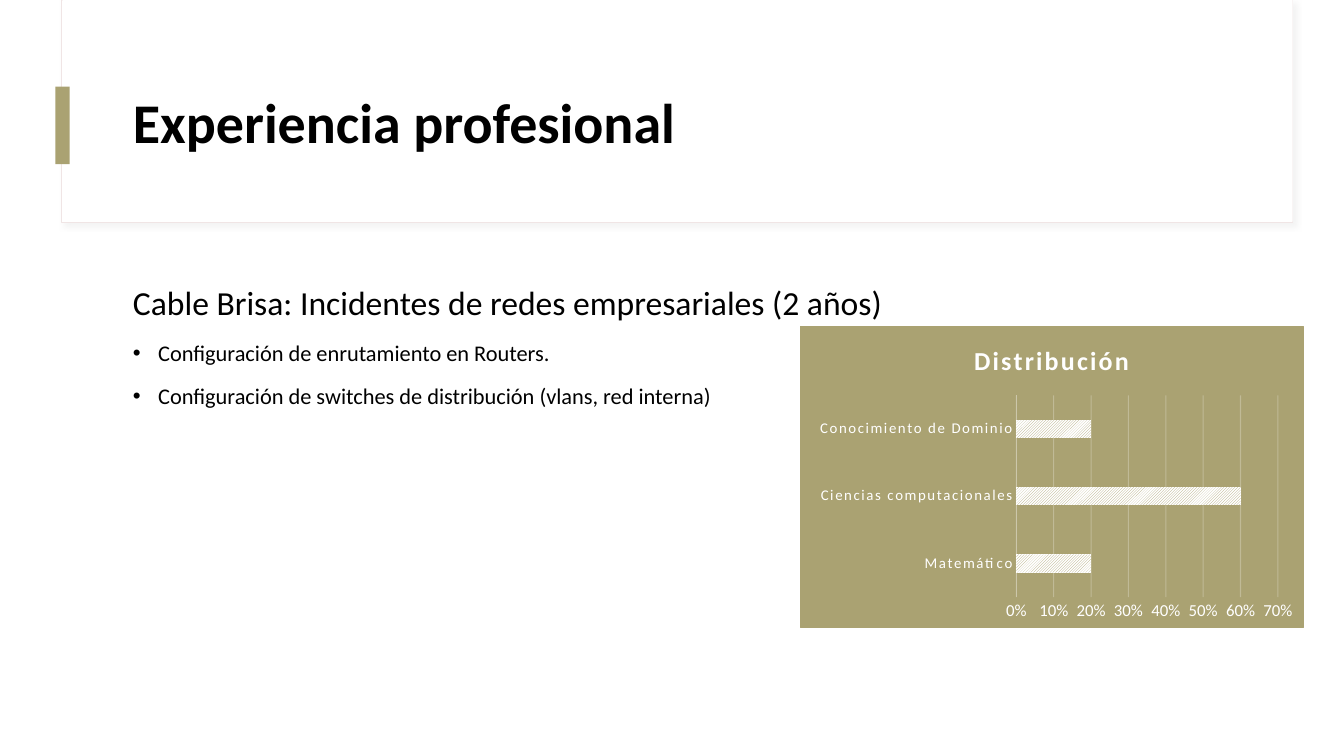
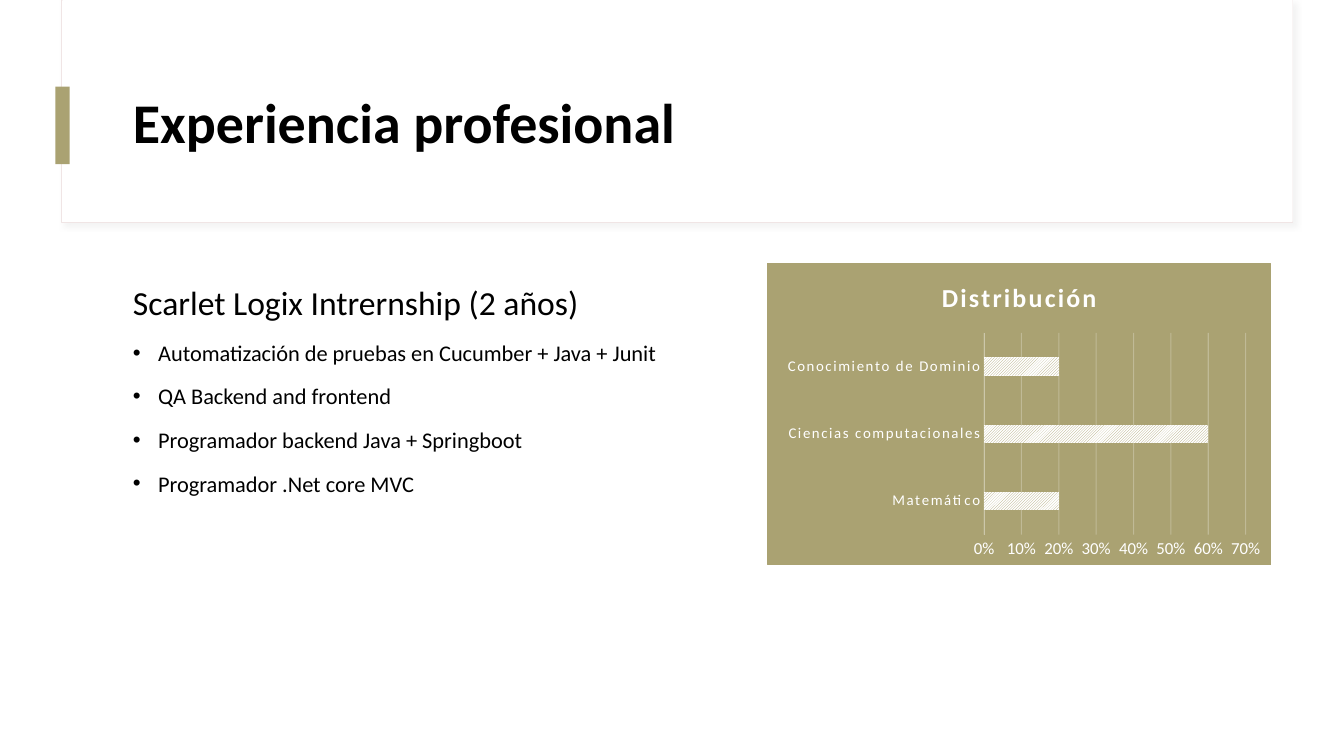
from lxml.etree import SubElement
from pptx import Presentation
from pptx.chart.data import CategoryChartData
from pptx.dml.color import RGBColor
from pptx.enum.chart import XL_CHART_TYPE, XL_TICK_MARK
from pptx.enum.dml import MSO_PATTERN
from pptx.enum.shapes import MSO_SHAPE
from pptx.enum.text import MSO_ANCHOR
from pptx.oxml import parse_xml
from pptx.oxml.ns import nsdecls, qn
from pptx.util import Inches, Pt

# Shared style
FONT = "Calibri"
BLACK = RGBColor(0x00, 0x00, 0x00)
WHITE = RGBColor(0xFF, 0xFF, 0xFF)
OLIVE = RGBColor(0xAA, 0xA2, 0x72)
SAND = RGBColor(0xCC, 0xC7, 0xAA)
ROSE = RGBColor(0xF0, 0xE5, 0xE5)
TITLE = "Experiencia profesional"

# Chart content
SHARES = {
    "Matemático": 0.2,
    "Ciencias computacionales": 0.6,
    "Conocimiento de Dominio": 0.2,
}

# Heading, bullets, left and top of the chart
JOBS = [
    (
        "Cable Brisa: Incidentes de redes empresariales (2 años)",
        [
            "Configuración de enrutamiento en Routers.",
            "Configuración de switches de distribución (vlans, red interna)",
        ],
        (7.93, 3.23),
    ),
    (
        "Scarlet Logix Intrernship (2 años)",
        [
            "Automatización de pruebas en Cucumber + Java + Junit",
            "QA Backend and frontend",
            "Programador backend Java + Springboot",
            "Programador .Net core MVC",
        ],
        (7.61, 2.61),
    ),
]


def style(font, size, color, bold=False):
    font.name = FONT
    font.size = Pt(size)
    font.color.rgb = color
    font.bold = bold


def add_rect(slide, box, fill, line=None):
    rect = slide.shapes.add_shape(MSO_SHAPE.RECTANGLE, *map(Inches, box))
    rect.shadow.inherit = False
    rect.fill.solid()
    rect.fill.fore_color.rgb = fill
    if line is None:
        rect.line.fill.background()
    else:
        rect.line.color.rgb = line
        rect.line.width = Pt(0.75)
    return rect


def add_shade(shape):
    effects = shape.element.spPr.find(qn("a:effectLst"))
    effects.append(parse_xml(
        f'<a:outerShdw {nsdecls("a")} blurRad="{Pt(4)}" dist="{Pt(3)}" '
        'dir="2700000" algn="tl" rotWithShape="0">'
        '<a:srgbClr val="D9D9D9"><a:alpha val="30000"/></a:srgbClr>'
        '</a:outerShdw>'
    ))


def add_text(slide, box):
    frame = slide.shapes.add_textbox(*map(Inches, box)).text_frame
    frame.word_wrap = True
    return frame


def add_head(slide):
    # Framed band with its olive marker
    add_shade(add_rect(slide, (0.61, 0, 12.21, 2.21), WHITE, ROSE))
    add_rect(slide, (0.62, 0, 12.2, 2.2), WHITE)
    add_rect(slide, (0.55, 0.86, 0.14, 0.77), OLIVE)
    # Title
    frame = add_text(slide, (1.22, 0.6, 11.12, 1.29))
    frame.vertical_anchor = MSO_ANCHOR.MIDDLE
    frame.text = TITLE
    frame.paragraphs[0].line_spacing = 0.9
    style(frame.paragraphs[0].font, 40, BLACK, True)


def add_bullet(para):
    props = para._p.get_or_add_pPr()
    props.set("marL", str(Inches(0.25)))
    props.set("indent", str(-Inches(0.25)))
    SubElement(props, qn("a:buFont"), typeface="Arial")
    SubElement(props, qn("a:buChar"), char="•")


def add_body(slide, heading, points):
    frame = add_text(slide, (1.22, 2.71, 11.12, 4.04))
    frame.text = "\n".join([heading, *points])
    for rank, para in enumerate(frame.paragraphs):
        para.line_spacing = 1.1
        if rank:
            para.space_before = Pt(10)
            add_bullet(para)
        style(para.font, 16 if rank else 24, BLACK)


def fill_back(chart):
    space = chart._chartSpace
    paint = f'<a:solidFill><a:srgbClr val="{OLIVE}"/></a:solidFill>'
    space.find(qn("c:txPr")).addprevious(parse_xml(
        f'<c:spPr {nsdecls("c", "a")}>{paint}'
        f'<a:ln w="{Pt(0.75)}">{paint}</a:ln></c:spPr>'
    ))


def place_plot(chart, x, y, w, h):
    plot = chart._chartSpace.find(".//" + qn("c:plotArea"))
    for old in plot.findall(qn("c:layout")):
        plot.remove(old)
    sizes = "".join(
        f'<c:{key} val="{value}"/>'
        for key, value in (("x", x), ("y", y), ("w", w), ("h", h))
    )
    plot.insert(0, parse_xml(
        f'<c:layout {nsdecls("c")}><c:manualLayout>'
        '<c:layoutTarget val="inner"/>'
        '<c:xMode val="edge"/><c:yMode val="edge"/>'
        f'{sizes}</c:manualLayout></c:layout>'
    ))


def style_axes(chart):
    cats, vals = chart.category_axis, chart.value_axis
    for axis, size in ((cats, 10.6), (vals, 12)):
        axis.major_tick_mark = axis.minor_tick_mark = XL_TICK_MARK.NONE
        style(axis.tick_labels.font, size, WHITE)
    cats.format.line.color.rgb = SAND
    cats.format.line.width = Pt(0.25)
    vals.format.line.fill.background()
    vals.minimum_scale, vals.maximum_scale = 0, 0.7
    vals.major_unit = 0.1
    vals.tick_labels.number_format = "0%"
    vals.tick_labels.number_format_is_linked = False
    grid = vals.major_gridlines.format.line
    grid.color.rgb = WHITE
    grid.width = Pt(0.75)
    # Faint grid and wide label spacing
    root = chart._chartSpace
    for color in root.xpath(".//c:majorGridlines//a:srgbClr"):
        SubElement(color, qn("a:alpha"), val="25000")
    for props in root.xpath(".//c:catAx/c:txPr//a:defRPr"):
        props.set("spc", "120")


def add_bars(slide, left, top):
    data = CategoryChartData(number_format="0%")
    data.categories = list(SHARES)
    data.add_series("Series 1", list(SHARES.values()))
    chart = slide.shapes.add_chart(
        XL_CHART_TYPE.BAR_CLUSTERED,
        Inches(left), Inches(top), Inches(5), Inches(3), data,
    ).chart
    style(chart.font, 10, BLACK)
    chart.has_legend = False
    fill_back(chart)
    place_plot(chart, 0.43, 0.23, 0.52, 0.67)
    # Chart title
    chart.has_title = True
    frame = chart.chart_title.text_frame
    frame.text = "Distribución"
    run = frame.paragraphs[0].runs[0]
    style(run.font, 18.6, WHITE, True)
    run._r.get_or_add_rPr().set("spc", "150")
    style_axes(chart)
    # Hatched bars
    plot = chart.plots[0]
    plot.vary_by_categories = False
    plot.gap_width = 269
    plot.overlap = -20
    fill = plot.series[0].format.fill
    fill.patterned()
    fill.pattern = MSO_PATTERN.LIGHT_UPWARD_DIAGONAL
    fill.fore_color.rgb = OLIVE
    fill.back_color.rgb = WHITE


def main():
    deck = Presentation()
    deck.slide_width, deck.slide_height = Inches(13.33), Inches(7.5)
    for heading, points, spot in JOBS:
        slide = deck.slides.add_slide(deck.slide_layouts[6])
        add_head(slide)
        add_body(slide, heading, points)
        add_bars(slide, *spot)
    deck.save("out.pptx")


if __name__ == "__main__":
    main()
